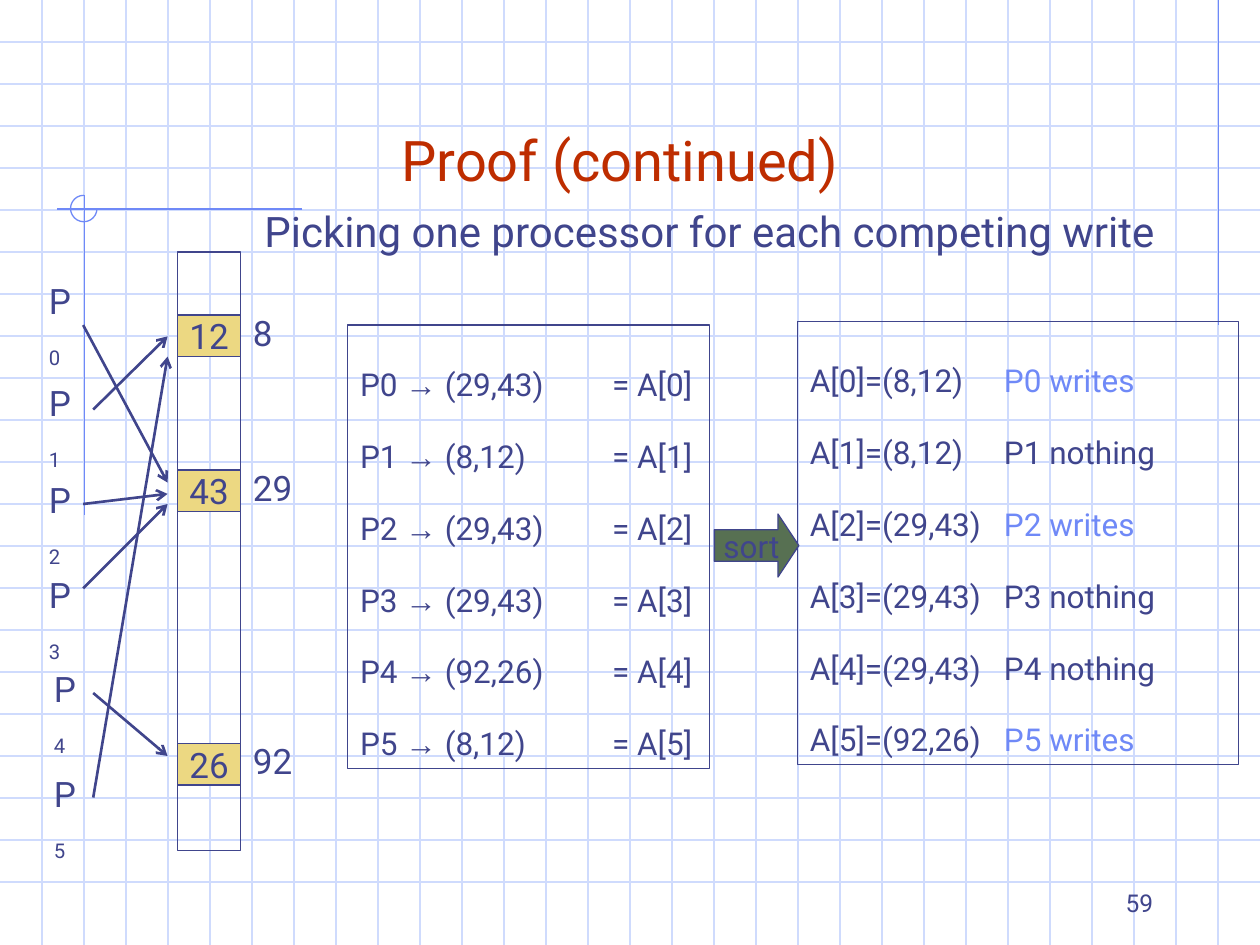
from lxml.etree import SubElement
from pptx import Presentation
from pptx.dml.color import RGBColor
from pptx.enum.shapes import MSO_CONNECTOR as Connector, MSO_SHAPE as Shape
from pptx.enum.text import MSO_ANCHOR as Anchor, PP_ALIGN as Align
from pptx.oxml.ns import qn
from pptx.util import Inches, Pt

WHITE = RGBColor(0xFF, 0xFF, 0xFF)
GRID = RGBColor(0xCF, 0xDB, 0xFD)
BLUE = RGBColor(0x6F, 0x89, 0xF7)
NAVY = RGBColor(0x40, 0x45, 0x8C)
RED = RGBColor(0xBE, 0x2D, 0x00)
GOLD = RGBColor(0xEC, 0xD8, 0x82)
GREEN = RGBColor(0x57, 0x70, 0x52)

WIDTH, HEIGHT, STEP = 10, 7.5, 1 / 3
TEXT_FONT, SYMBOL_FONT = "Roboto", "Arial"


def add_line(page, start, end, color, weight=0.75, arrow=False):
    line = page.shapes.add_connector(Connector.STRAIGHT, *map(Inches, (*start, *end)))
    line.line.color.rgb = color
    line.line.width = Pt(weight)
    if arrow:
        SubElement(line.line._get_or_add_ln(), qn("a:tailEnd"), type="arrow")
    SubElement(line._element.spPr, qn("a:effectLst"))


def add_outline(page, box, kind=Shape.RECTANGLE, fill=None, color=NAVY):
    shape = page.shapes.add_shape(kind, *map(Inches, box))
    shape.shadow.inherit = False
    if fill is None:
        shape.fill.background()
    else:
        shape.fill.solid()
        shape.fill.fore_color.rgb = fill
    shape.line.color.rgb = color
    shape.line.width = Pt(0.75)
    return shape


def add_span(para, text, size, color=NAVY, name=TEXT_FONT):
    span = para.add_run()
    span.text = text
    for key, value in {"size": Pt(size), "name": name}.items():
        setattr(span.font, key, value)
    span.font.color.rgb = color
    return span


def set_text(shape, text, size, color=NAVY, align=Align.LEFT, anchor=Anchor.TOP, wrap=True):
    frame = shape.text_frame
    frame.word_wrap = wrap
    frame.vertical_anchor = anchor
    para = frame.paragraphs[0]
    para.alignment = align
    add_span(para, text, size, color)
    return para


def add_text(page, box, text, size, **format_values):
    return set_text(page.shapes.add_textbox(*map(Inches, box)), text, size, **format_values)


def add_backdrop(page):
    """Square grid with the blue corner lines and the three-quarter circle."""
    for row in range(1, round(HEIGHT / STEP)):
        add_line(page, (0, row * STEP), (WIDTH, row * STEP), GRID)
    for column in range(1, round(WIDTH / STEP)):
        add_line(page, (column * STEP, 0), (column * STEP, HEIGHT), GRID)
    for start, end in (
        ((9.67, 0), (9.67, 2.58)),
        ((2.4, 1.66), (0.45, 1.66)),
        ((0.67, 1.55), (0.67, 4.09)),
    ):
        add_line(page, start, end, BLUE)
    arc = add_outline(page, (0.56, 1.55, 0.21, 0.21), Shape.ARC, color=BLUE)
    # Angles count in 60000ths of a degree, adjustments in 100000ths
    arc.adjustments[0], arc.adjustments[1] = 0, 270 * 0.6


def add_memory(page, box, cells):
    """Memory column; each cell is (offset from the top, value, address)."""
    left, top, width, _ = box
    add_outline(page, box)
    for offset, value, address in cells:
        y = top + offset
        cell = add_outline(page, (left, y, width, 0.33), fill=GOLD)
        set_text(cell, value, 20, align=Align.CENTER, anchor=Anchor.MIDDLE, wrap=False)
        add_text(page, (left + width, y - 0.08, 0.6, 0.44), address, 20)


def add_processors(page, labels, arrows):
    for number, (left, top) in enumerate(labels):
        para = add_text(page, (left, top, 0.45, 0.48), "P", 20)
        index = add_span(para, str(number), 20)
        index.font._element.set("baseline", "-25000")
    for start, end in arrows:
        add_line(page, start, end, NAVY, 1.5, arrow=True)


def add_list(page, box, rows, tab):
    """Framed list; each row is a list of (text, color, font) spans."""
    frame = add_outline(page, box).text_frame
    frame.word_wrap = True
    frame.vertical_anchor = Anchor.TOP
    for number, row in enumerate(rows):
        para = frame.add_paragraph() if number else frame.paragraphs[0]
        tabs = SubElement(para._p.get_or_add_pPr(), qn("a:tabLst"))
        SubElement(tabs, qn("a:tab"), pos=str(Inches(tab)), algn="l")
        para.alignment = Align.LEFT
        para.line_spacing = 1.9
        for text, color, name in row:
            add_span(para, text, 18, color, name)


def add_sort_arrow(page, box):
    arrow = add_outline(page, box, Shape.RIGHT_ARROW, GREEN)
    arrow.adjustments[0], arrow.adjustments[1] = 0.5, 0.33
    set_text(arrow, "sort", 18, align=Align.CENTER, anchor=Anchor.MIDDLE, wrap=False)


def request_row(number, pair):
    return [
        (f"P{number} ", NAVY, TEXT_FONT),
        ("→", NAVY, SYMBOL_FONT),
        (f" {pair}\t= A[{number}]", NAVY, TEXT_FONT),
    ]


def sorted_row(number, pair, action):
    return [
        (f"A[{number}]={pair}\t", NAVY, TEXT_FONT),
        (f"P{number} {action}", BLUE if action == "writes" else NAVY, TEXT_FONT),
    ]


def main():
    deck = Presentation()
    deck.slide_width, deck.slide_height = Inches(WIDTH), Inches(HEIGHT)
    page = deck.slides.add_slide(deck.slide_layouts[6])
    page.background.fill.solid()
    page.background.fill.fore_color.rgb = WHITE

    add_backdrop(page)
    add_text(page, (0.67, 0.33, 8.5, 1.25), "Proof (continued)", 32,
             color=RED, align=Align.CENTER, anchor=Anchor.BOTTOM)
    add_memory(page, (1.41, 2, 0.5, 4.75),
               [(0.5, "12", "8"), (1.73, "43", "29"), (3.9, "26", "92")])
    add_processors(
        page,
        [(0.29, 2.17), (0.29, 2.98), (0.29, 3.75), (0.29, 4.5), (0.33, 5.25), (0.33, 6.08)],
        [
            ((0.66, 2.58), (1.33, 3.83)),
            ((0.74, 3.25), (1.33, 2.67)),
            ((0.66, 4), (1.33, 3.92)),
            ((0.66, 4.67), (1.33, 4)),
            ((0.74, 5.5), (1.33, 6)),
            ((0.74, 6.33), (1.33, 2.83)),
        ],
    )

    requests = ["(29,43)", "(8,12)", "(29,43)", "(29,43)", "(92,26)", "(8,12)"]
    add_list(page, (2.76, 2.58, 2.87, 3.52),
             [request_row(number, pair) for number, pair in enumerate(requests)], tab=2)
    results = [
        ("(8,12)", "writes"),
        ("(8,12)", "nothing"),
        ("(29,43)", "writes"),
        ("(29,43)", "nothing"),
        ("(29,43)", "nothing"),
        ("(92,26)", "writes"),
    ]
    add_list(page, (6.33, 2.55, 3.5, 3.52),
             [sorted_row(number, *result) for number, result in enumerate(results)], tab=1.54)
    add_sort_arrow(page, (5.67, 4.08, 0.67, 0.5))

    add_text(page, (2, 1.58, 7.66, 0.5), "Picking one processor for each competing write", 24)
    add_text(page, (7.17, 6.83, 2.08, 0.5), "59", 14, align=Align.RIGHT, anchor=Anchor.BOTTOM)
    deck.save("out.pptx")


if __name__ == "__main__":
    main()
